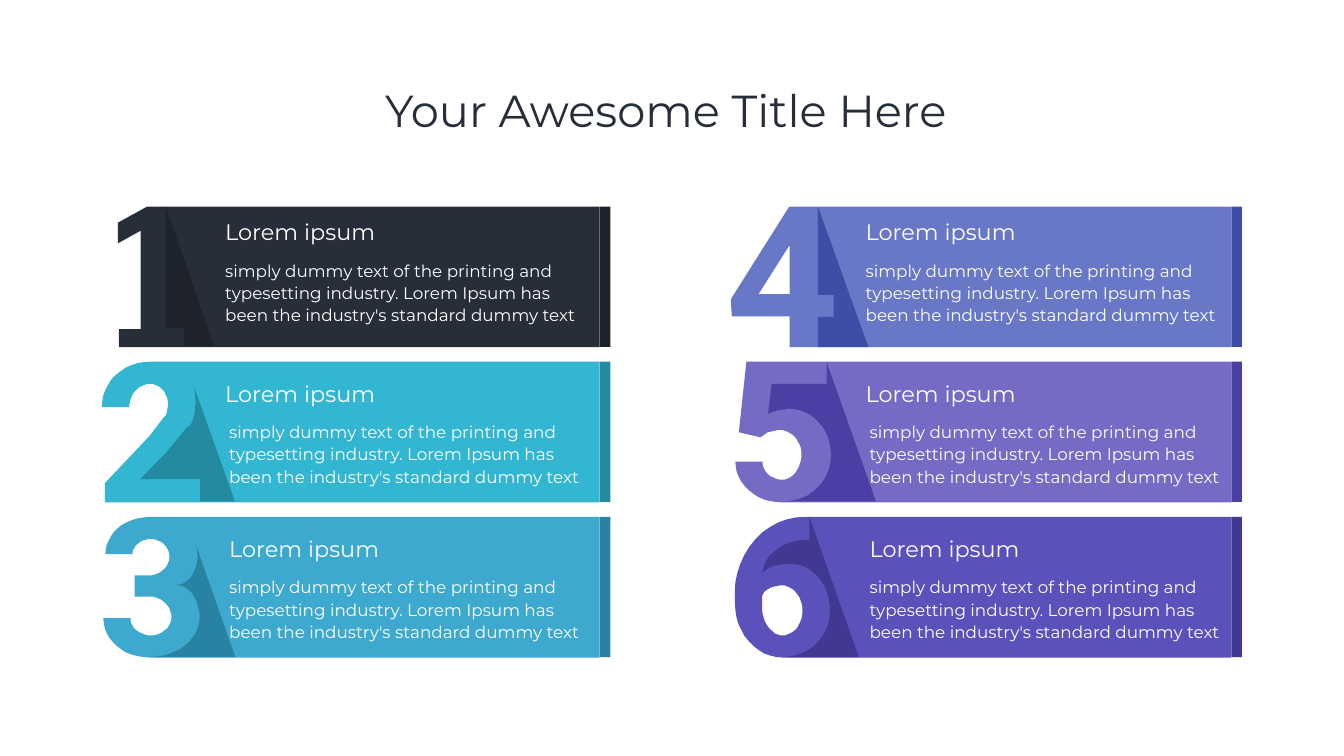
from math import cos, pi, sin

from pptx import Presentation
from pptx.dml.color import RGBColor
from pptx.enum.shapes import MSO_SHAPE as Shape
from pptx.enum.text import MSO_ANCHOR as Anchor, PP_ALIGN as Align
from pptx.util import Cm, Pt

FONT = "Montserrat"
WHITE = RGBColor.from_string("FFFFFF")
INK = RGBColor.from_string("272E3A")
BANNER_COLOURS = [INK] + [RGBColor.from_string(code) for code in (
    "33B6D2", "3DA9CF", "6977C7", "746BC5", "5B51BB")]
SHADE_COLOURS = [RGBColor.from_string(code) for code in (
    "1D222B", "238AA0", "2882A1", "3E4DA6", "4A40A4", "413891")]

HEADING = "Lorem ipsum"
BODY = ("simply dummy text of the printing and typesetting industry. "
        "Lorem Ipsum has been the industry's standard dummy text")

# Layout in centimetres
LEFT, COLUMN_STEP = 5.08, 31.83
TOP, ROW_STEP = 10.41, 7.82
BAR_OFFSET, BAR_WIDTH, BANNER_HEIGHT = 25.15, 0.53, 7.07
TEXT_LEFT = (11.1, 43.38)
HEADING_NUDGE, BODY_NUDGE = (0, 0, 0.2), (0, 0.2, 0.2)
HEADING_DROP, BODY_DROP = (0.48, 0.8, 0.8), 2.01

# Outlines in hundredths of an inch from each banner's corner.
# "h" and "v" mark the end of a quarter ellipse that sets off
# horizontally or vertically; other points end straight lines.
UNIT = Cm(2.54) / 100
RIGHT_SIDE = [(990, 279), (990, 0)]
LEFT_SIDES = [
    [(92, 0), (34, 32), (34, 73), (79, 48), (79, 243), (36, 243), (36, 279)],
    [(96, 0), (2, 90, "h"), (57, 90), (97, 44, "v"), (133, 83, "h"),
     (125, 110, "v"), (97, 147), (8, 241), (8, 279)],
    [(96, 0), (9, 74, "h"), (63, 74), (99, 44, "v"), (136, 78, "h"),
     (95, 116, "v"), (67, 116), (67, 158), (95, 158), (140, 198, "h"),
     (99, 235, "v"), (59, 201, "h"), (5, 201), (96, 279, "v")],
    [(113, 0), (-3, 184), (-1, 218), (114, 218), (114, 279)],
    [(28, 0), (13, 140), (56, 150), (70, 140), (93, 135), (137, 184, "h"),
     (99, 234, "v"), (60, 198, "h"), (6, 198), (97, 279, "v")],
    [(144, 0), (5, 150, "h"), (5, 170), (99, 279, "v")],
]
HOLES = {
    3: [(114, 174), (52, 174), (114, 76)],
    5: [(139, 186), (100, 235, "v"), (59, 177, "h"), (59, 161),
        (99, 136, "v"), (139, 186, "h")],
}
SHADES = [
    [(225, 277), (129, 0), (129, 241), (166, 241), (166, 277)],
    [(266, 277), (186, 52), (188, 76), (172, 129, "v"), (128, 182),
     (78, 233), (197, 233), (197, 277)],
    [(190, 59), (192, 76), (150, 135, "v"), (196, 199, "h"),
     (98, 278, "v"), (267, 278)],
    [(170, 0), (170, 175), (201, 175), (201, 219), (170, 219),
     (170, 279), (270, 279)],
    [(187, 0), (187, 44), (78, 44), (71, 103), (88, 97), (112, 93),
     (196, 185, "h"), (103, 277, "v"), (285, 277)],
    [(153, 0), (153, 45), (60, 115, "h"), (116, 93, "v"),
     (194, 185, "h"), (101, 278, "v"), (251, 278)],
]


def flatten(outline, steps=12):
    """Turn lines and quarter ellipses into a list of points."""
    points = []
    for x, y, *turn in outline:
        if turn:
            start_x, start_y = points[-1]
            for step in range(1, steps):
                angle = pi / 2 * step / steps
                across, down = sin(angle), 1 - cos(angle)
                if turn == ["v"]:
                    across, down = down, across
                points.append((start_x + (x - start_x) * across,
                               start_y + (y - start_y) * down))
        points.append((x, y))
    return points


def paint(shape, colour):
    shape.shadow.inherit = False
    shape.fill.solid()
    shape.fill.fore_color.rgb = colour
    shape.line.fill.background()


def add_outline(group, left, top, outlines, colour):
    first, *others = [flatten(outline) for outline in outlines]
    builder = group.shapes.build_freeform(*first[0], scale=UNIT)
    builder.add_line_segments(first[1:])
    for points in others:
        builder.move_to(*points[0])
        builder.add_line_segments(points[1:])
    paint(builder.convert_to_shape(Cm(left), Cm(top)), colour)


def add_banner(page, index, left, top):
    group = page.shapes.add_group_shape()
    outlines = [LEFT_SIDES[index] + RIGHT_SIDE]
    if index in HOLES:
        outlines.append(HOLES[index])
    add_outline(group, left, top, outlines, BANNER_COLOURS[index])
    add_outline(group, left, top, [SHADES[index]], SHADE_COLOURS[index])
    bar = group.shapes.add_shape(Shape.RECTANGLE, Cm(left + BAR_OFFSET), Cm(top),
                                 Cm(BAR_WIDTH), Cm(BANNER_HEIGHT))
    paint(bar, SHADE_COLOURS[index])


def add_text(page, frame, text, size, colour, spacing=1.0, wrap=True):
    box = page.shapes.add_textbox(*[Cm(length) for length in frame])
    box.text_frame.word_wrap = wrap
    para = box.text_frame.paragraphs[0]
    para.text = text
    para.line_spacing = spacing
    para.font.name, para.font.size = FONT, Pt(size)
    para.font.color.rgb = colour
    return box


def main():
    deck = Presentation()
    deck.slide_width, deck.slide_height = Cm(67.74), Cm(38.1)
    page = deck.slides.add_slide(deck.slide_layouts[6])

    # Title
    title = add_text(page, (4.34, 2.03, 58.42, 7.37), "Your Awesome Title Here", 64, INK, 0.9)
    title.text_frame.vertical_anchor = Anchor.MIDDLE
    title.text_frame.paragraphs[0].alignment = Align.CENTER

    # Numbered banners, down each column in turn
    for index in range(len(BANNER_COLOURS)):
        column, row = divmod(index, 3)
        top = TOP + row * ROW_STEP
        add_banner(page, index, LEFT + column * COLUMN_STEP, top)
        text_left, text_top = TEXT_LEFT[column], top + HEADING_DROP[row]
        add_text(page, (text_left + HEADING_NUDGE[row], text_top, 8.38, 1.63),
                 HEADING, 32, WHITE, wrap=False)
        add_text(page, (text_left + BODY_NUDGE[row], text_top + BODY_DROP, 18.21, 3.58),
                 BODY, 24, WHITE, 1.1)

    deck.save("out.pptx")


if __name__ == "__main__":
    main()
